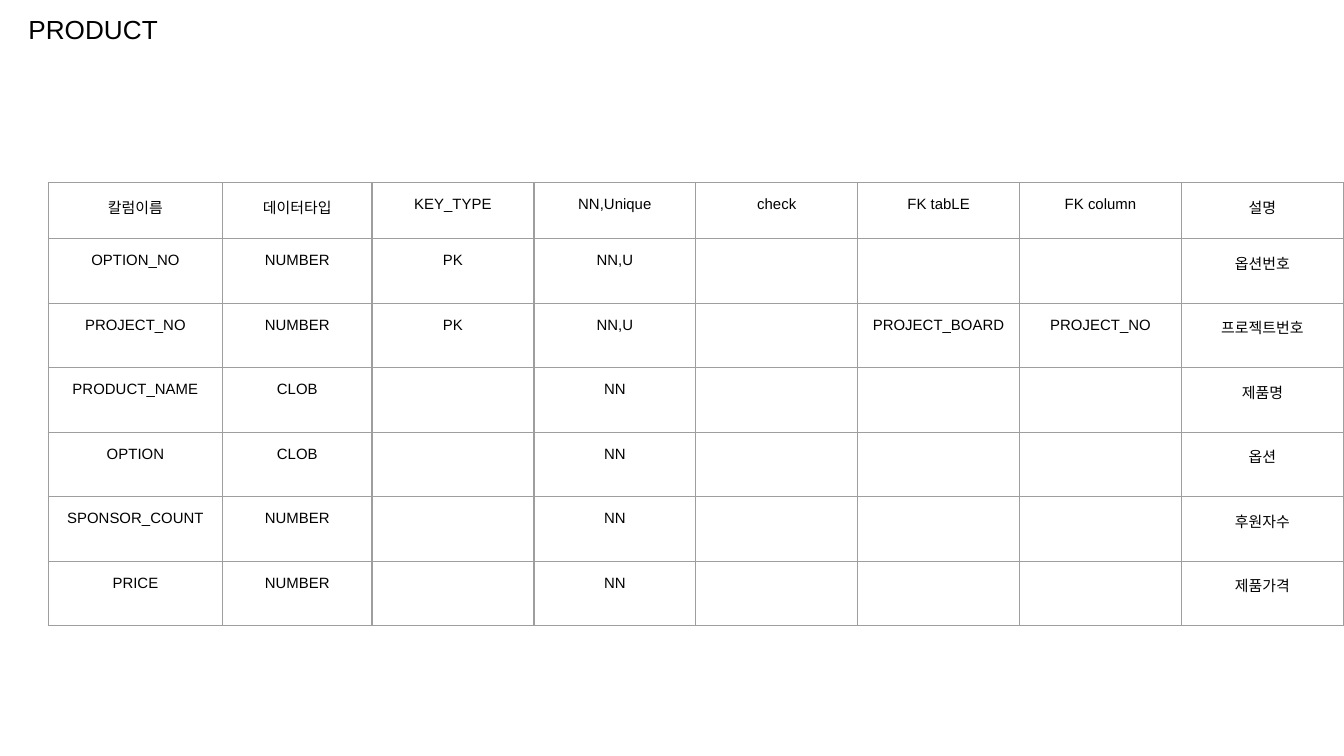
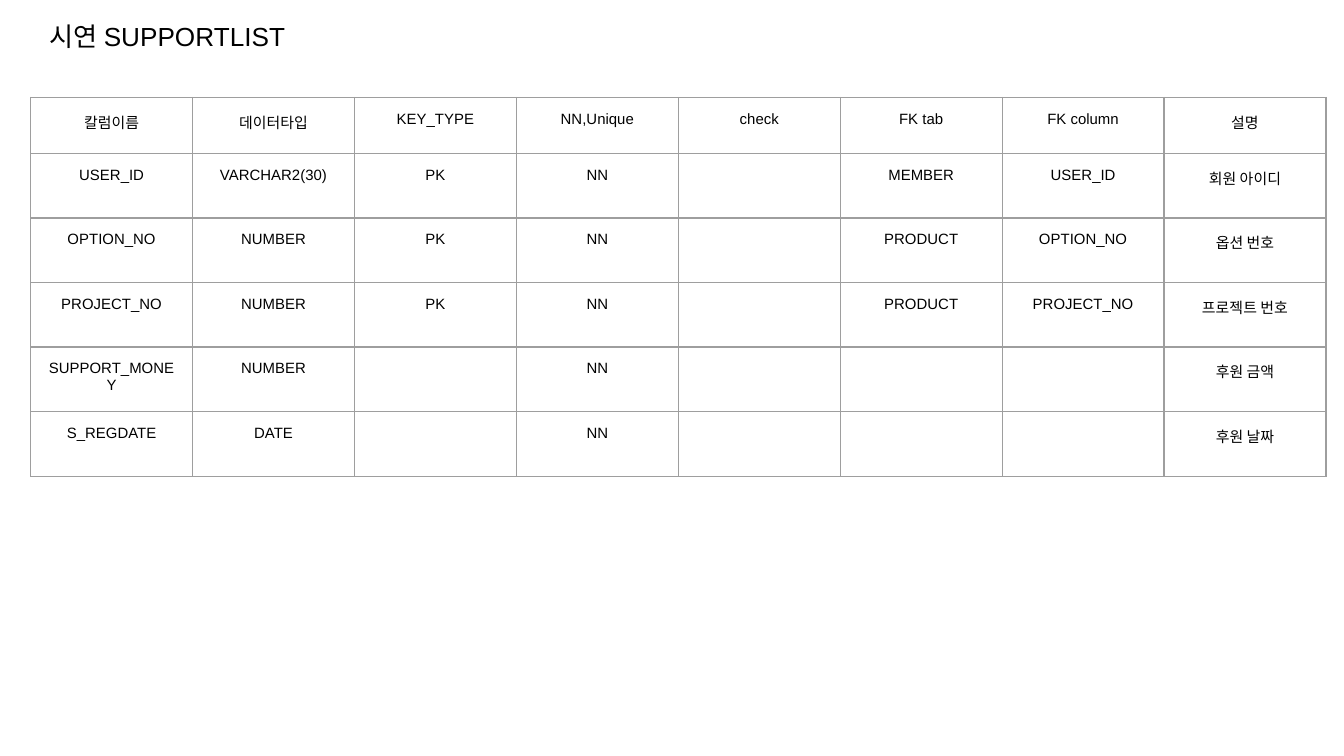
from lxml.etree import SubElement
from pptx import Presentation
from pptx.dml.color import RGBColor
from pptx.enum.text import PP_ALIGN
from pptx.oxml.ns import qn
from pptx.util import Cm, Pt

BLACK = RGBColor(0x00, 0x00, 0x00)
GRID = RGBColor(0x9E, 0x9E, 0x9E)
FONT = "Arial"
INSET = Cm(0.25)
HEADER_H, ROW_H = 1.06, 1.22
COL_W = 3.06

TABLES = [
    {
        "title": " PRODUCT",
        "title_at": (0.15, 0),
        "table_at": (0.91, 3.45),
        "widths": [3.3, 2.82] + [COL_W] * 6,
        "rows": [
            ("칼럼이름", "데이터타입", "KEY_TYPE", "NN,Unique", "check", "FK tabLE", "FK column", "설명"),
            ("OPTION_NO", "NUMBER", "PK", "NN,U", "", "", "", "옵션번호"),
            ("PROJECT_NO", "NUMBER", "PK", "NN,U", "", "PROJECT_BOARD", "PROJECT_NO", "프로젝트번호"),
            ("PRODUCT_NAME", "CLOB", "", "NN", "", "", "", "제품명"),
            ("OPTION", "CLOB", "", "NN", "", "", "", "옵션"),
            ("SPONSOR_COUNT", "NUMBER", "", "NN", "", "", "", "후원자수"),
            ("PRICE", "NUMBER", "", "NN", "", "", "", "제품가격"),
        ],
    },
    {
        "title": "시연 SUPPORTLIST",
        "title_at": (0.69, 0.13),
        "table_at": (0.58, 1.84),
        "widths": [COL_W] * 8,
        "rows": [
            ("칼럼이름", "데이터타입", "KEY_TYPE", "NN,Unique", "check", "FK tab", "FK column", "설명"),
            ("USER_ID", "VARCHAR2(30)", "PK", "NN", "", "MEMBER", "USER_ID", "회원 아이디"),
            ("OPTION_NO", "NUMBER", "PK", "NN", "", "PRODUCT", "OPTION_NO", "옵션 번호"),
            ("PROJECT_NO", "NUMBER", "PK", "NN", "", "PRODUCT", "PROJECT_NO", "프로젝트 번호"),
            ("SUPPORT_MONEY", "NUMBER", "", "NN", "", "", "", "후원 금액"),
            ("S_REGDATE", "DATE", "", "NN", "", "", "", "후원 날짜"),
        ],
    },
]


def write(tf, text, size=8, align=PP_ALIGN.CENTER, color=BLACK):
    tf.word_wrap = True
    p = tf.paragraphs[0]
    p.alignment = align
    r = p.add_run()
    r.text = text
    r.font.name = FONT
    r.font.size = Pt(size)
    r.font.color.rgb = color


def set_insets(box):
    box.margin_left = box.margin_right = INSET
    box.margin_top = box.margin_bottom = INSET


def set_borders(cell, color=GRID, width=0.75):
    tcPr = cell._tc.get_or_add_tcPr()
    for side in ("lnL", "lnR", "lnT", "lnB"):
        ln = SubElement(tcPr, qn(f"a:{side}"), w=str(Pt(width)))
        fill = SubElement(ln, qn("a:solidFill"))
        SubElement(fill, qn("a:srgbClr"), val=str(color))


def add_title(slide, text, left, top):
    sp = slide.shapes.add_textbox(Cm(left), Cm(top), Cm(16.08), Cm(1.88))
    set_insets(sp.text_frame)
    write(sp.text_frame, text, size=14, align=PP_ALIGN.LEFT)


def add_schema(slide, rows, widths, left, top):
    heights = [HEADER_H] + [ROW_H] * (len(rows) - 1)
    frame = slide.shapes.add_table(
        len(rows), len(widths), Cm(left), Cm(top), Cm(sum(widths)), Cm(sum(heights)))
    table = frame.table
    table.first_row = table.horz_banding = False
    for col, width in zip(table.columns, widths):
        col.width = Cm(width)
    for row, height, texts in zip(table.rows, heights, rows):
        row.height = Cm(height)
        for cell, text in zip(row.cells, texts):
            set_borders(cell)
            cell.fill.background()
            if text:
                set_insets(cell)
                write(cell.text_frame, text)


def main():
    prs = Presentation()
    prs.slide_width, prs.slide_height = Cm(25.4), Cm(14.29)
    for spec_table in TABLES:
        slide = prs.slides.add_slide(prs.slide_layouts[6])
        add_schema(slide, spec_table["rows"], spec_table["widths"], *spec_table["table_at"])
        add_title(slide, spec_table["title"], *spec_table["title_at"])
    prs.save("out.pptx")


if __name__ == "__main__":
    main()
